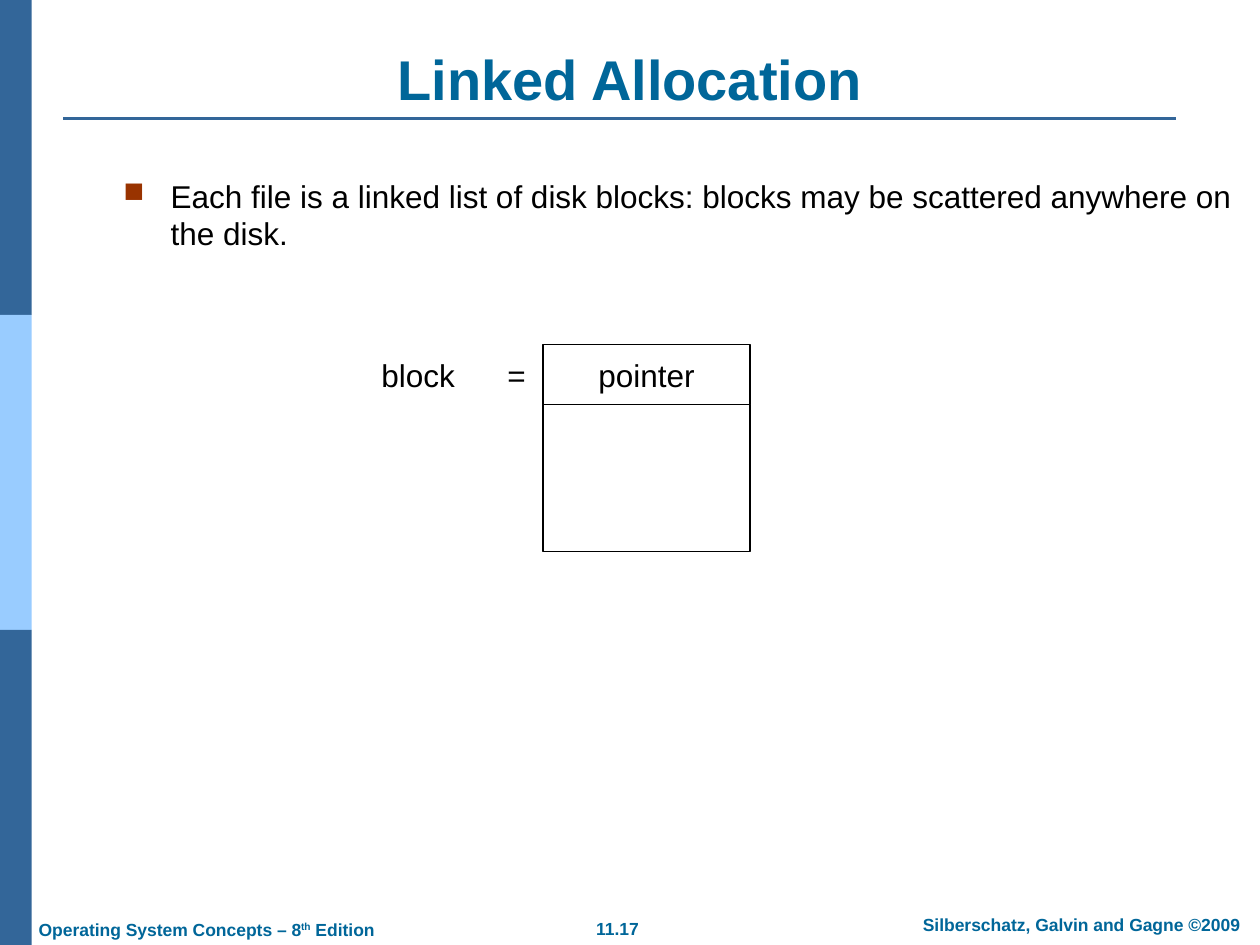
from lxml import etree
from pptx import Presentation
from pptx.dml.color import RGBColor
from pptx.enum.shapes import MSO_CONNECTOR, MSO_SHAPE
from pptx.enum.text import MSO_ANCHOR, PP_ALIGN
from pptx.oxml.ns import qn
from pptx.util import Cm, Pt

LEFT, CENTER = PP_ALIGN.LEFT, PP_ALIGN.CENTER
TOP, MIDDLE, BOTTOM = MSO_ANCHOR.TOP, MSO_ANCHOR.MIDDLE, MSO_ANCHOR.BOTTOM
RECTANGLE = MSO_SHAPE.RECTANGLE
STRAIGHT = MSO_CONNECTOR.STRAIGHT
TITLE_ONLY = 5


def color(hex_code):
    return RGBColor.from_string(hex_code)


def write(frame, text, size=18, ink="000000", bold=False, align=LEFT,
          anchor=TOP, wrap=True, bullet=None, tab=None):
    frame.word_wrap = wrap
    frame.vertical_anchor = anchor
    frame.margin_left = frame.margin_right = Cm(0.25)
    frame.margin_top = frame.margin_bottom = Cm(0.13)
    paragraph = frame.paragraphs[0]
    paragraph.alignment = align
    paragraph.space_before = Pt(0)
    properties = paragraph._p.get_or_add_pPr()
    if bullet:
        properties.set("marL", str(Cm(0.95)))
        properties.set("indent", str(-Cm(0.95)))
        tint = etree.SubElement(properties, qn("a:buClr"))
        etree.SubElement(tint, qn("a:srgbClr"), val=bullet)
        etree.SubElement(properties, qn("a:buSzPct"), val="90000")
        etree.SubElement(properties, qn("a:buChar"), char="■")
    if tab:
        stops = etree.SubElement(properties, qn("a:tabLst"))
        etree.SubElement(stops, qn("a:tab"), pos=str(Cm(tab)), algn="l")
    for index, part in enumerate(text.split("^")):
        run = paragraph.add_run()
        run.text = part
        run.font.name = "Arial"
        run.font.size = Pt(size)
        run.font.bold = bold
        run.font.color.rgb = color(ink)
        if index % 2:
            run._r.get_or_add_rPr().set("baseline", "30000")


class LectureSlide:
    NAVY, SKY, TEAL, RUST = "336699", "99CCFF", "006699", "993300"
    BLACK, WHITE = "000000", "FFFFFF"

    def __init__(self, deck):
        self.slide = deck.slides.add_slide(deck.slide_layouts[TITLE_ONLY])
        self.shapes = self.slide.shapes

    def title(self, text, left, top, width, height):
        heading = self.shapes.title
        heading.left, heading.top = Cm(left), Cm(top)
        heading.width, heading.height = Cm(width), Cm(height)
        write(heading.text_frame, text, size=32, ink=self.TEAL, bold=True,
              align=CENTER, anchor=BOTTOM)

    def rectangle(self, left, top, width, height, fill, outline=None):
        box = self.shapes.add_shape(RECTANGLE, Cm(left), Cm(top), Cm(width), Cm(height))
        box.shadow.inherit = False
        box.fill.solid()
        box.fill.fore_color.rgb = color(fill)
        if outline:
            box.line.color.rgb = color(outline)
            box.line.width = Pt(0.75)
        else:
            box.line.fill.background()
        return box

    def rule(self, left, right, y):
        line = self.shapes.add_connector(STRAIGHT, Cm(left), Cm(y), Cm(right), Cm(y))
        line.line.color.rgb = color(self.NAVY)
        line.line.width = Pt(1.5)
        etree.SubElement(line._element.spPr, qn("a:effectLst"))

    def text(self, text, left, top, width, height, **style):
        label = self.shapes.add_textbox(Cm(left), Cm(top), Cm(width), Cm(height))
        write(label.text_frame, text, **style)

    def footer(self, text, left, top, width, **style):
        self.text(text, left, top, width, 0.68, size=10, ink=self.TEAL,
                  bold=True, **style)


def main():
    deck = Presentation()
    deck.slide_width, deck.slide_height = Cm(25.4), Cm(19.05)
    page = LectureSlide(deck)

    band_height = 6.35
    for row, fill in enumerate((page.NAVY, page.SKY, page.NAVY)):
        page.rectangle(0, row * band_height, 0.64, band_height, fill)
    page.rule(1.27, 23.7, 2.39)

    page.footer("11.17", 11.1, 18.37, 2.7, align=CENTER)
    page.footer("Silberschatz, Galvin and Gagne ©2009", 18.03, 18.29, 7.54, align=CENTER)
    page.footer("Operating System Concepts – 8^th^ Edition", 0.53, 18.39, 8)

    page.title("Linked Allocation", 1.27, 0.78, 22.86, 1.6)
    page.text("Each file is a linked list of disk blocks: blocks may be scattered "
              "anywhere on the disk.", 2.24, 3.43, 22.86, 2.08, bullet=page.RUST)

    block_left, block_top, block_width = 10.95, 6.95, 4.17
    pointer_height, data_height = 1.2, 2.97
    pointer = page.rectangle(block_left, block_top, block_width, pointer_height,
                             page.WHITE, page.BLACK)
    write(pointer.text_frame, "pointer", align=CENTER, anchor=MIDDLE, wrap=False)
    page.rectangle(block_left, block_top + pointer_height, block_width, data_height,
                   page.WHITE, page.BLACK)
    page.text("block\t=", 7.44, 7.04, 3.5, 1.02, anchor=MIDDLE, tab=2.54)

    deck.save("out.pptx")


if __name__ == "__main__":
    main()
